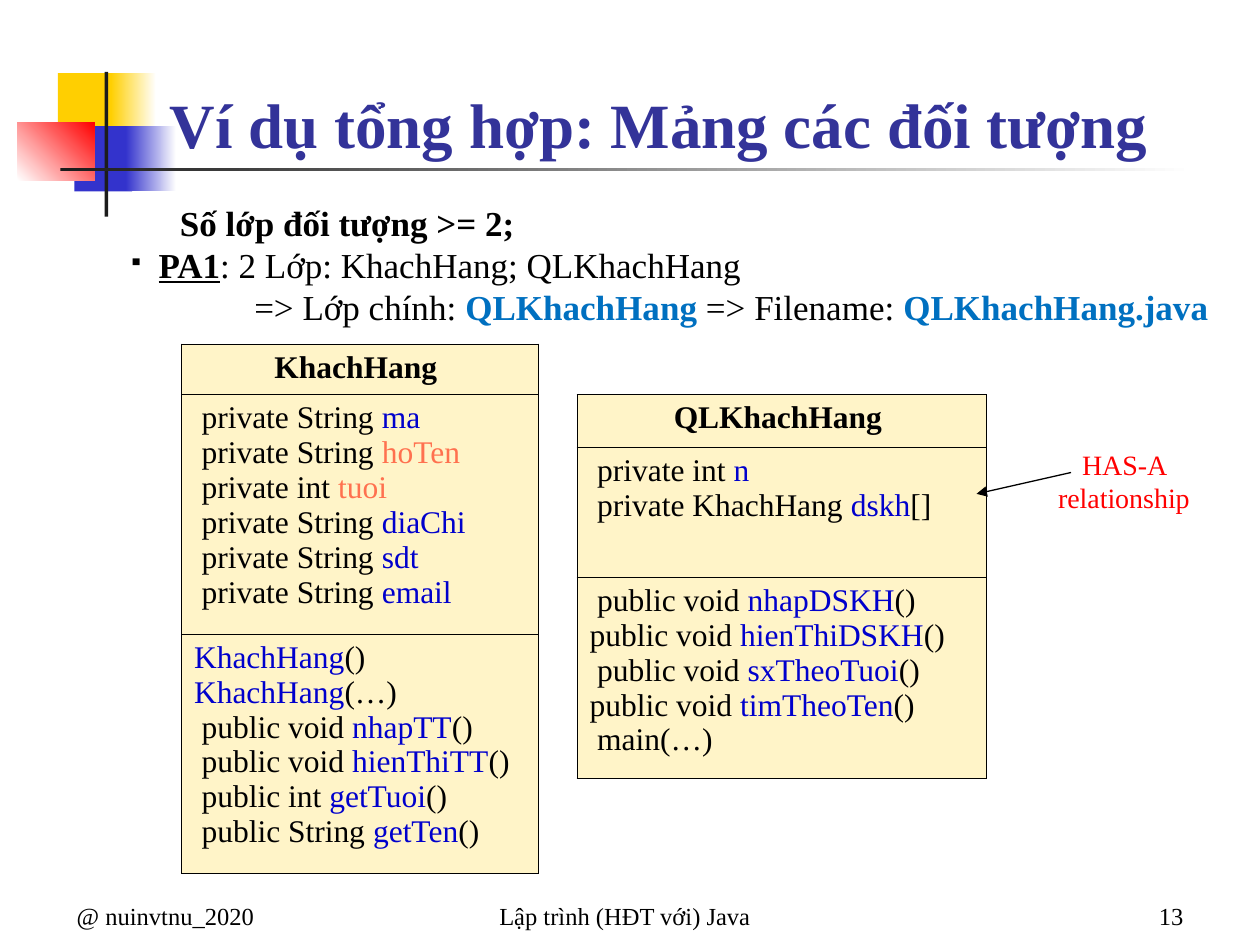
from lxml import etree
from pptx import Presentation
from pptx.dml.color import RGBColor
from pptx.enum.shapes import MSO_CONNECTOR, MSO_SHAPE
from pptx.enum.text import MSO_ANCHOR, PP_ALIGN
from pptx.oxml.ns import qn
from pptx.util import Inches, Pt

RECTANGLE, STRAIGHT = MSO_SHAPE.RECTANGLE, MSO_CONNECTOR.STRAIGHT
TOP, BOTTOM = MSO_ANCHOR.TOP, MSO_ANCHOR.BOTTOM
LEFT, CENTER, RIGHT = PP_ALIGN.LEFT, PP_ALIGN.CENTER, PP_ALIGN.RIGHT
WIDTH, HEIGHT = 10, 7.5
FONT = "Times New Roman"
BLACK, WHITE, CHARCOAL = "000000", "FFFFFF", "1C1C1C"
YELLOW, INDIGO, RED = "FFCF01", "3333CC", "FF0000"
TITLE_BLUE, LINK_BLUE = "333399", "0070C0"
NAME_BLUE, NAME_ORANGE, CREAM = "0000CC", "FF714F", "FFF4C8"
CODE_INDENT = 0.06


def rgb(value):
    return RGBColor.from_string(value)


def inches(box):
    return [Inches(length) for length in box]


def add_run(paragraph, text, size, color=BLACK, bold=False, underline=False):
    run = paragraph.add_run()
    run.text = text
    font = run.font
    font.name, font.size, font.bold = FONT, Pt(size), bold
    font.underline = underline
    font.color.rgb = rgb(color)


def set_indent(paragraph, margin, first_line=0):
    properties = paragraph._p.get_or_add_pPr()
    properties.set("marL", str(Inches(margin)))
    properties.set("indent", str(Inches(first_line)))


def add_bullet(paragraph, character, percent):
    properties = paragraph._p.get_or_add_pPr()
    size = etree.SubElement(properties, qn("a:buSzPct"))
    size.set("val", str(percent * 1000))
    etree.SubElement(properties, qn("a:buChar")).set("char", character)


def add_text_frame(slide, box, anchor=TOP):
    frame = slide.shapes.add_textbox(*inches(box)).text_frame
    frame.word_wrap = True
    frame.vertical_anchor = anchor
    return frame


def add_line_of_text(slide, box, text, size, color=BLACK, bold=False,
                     align=LEFT, anchor=BOTTOM):
    paragraph = add_text_frame(slide, box, anchor).paragraphs[0]
    paragraph.alignment = align
    add_run(paragraph, text, size, color, bold)


def add_block(slide, box, start, end=None, angle=0):
    """Add a rectangle, solid or fading from start to end."""
    shape = slide.shapes.add_shape(RECTANGLE, *inches(box))
    shape.shadow.inherit = False
    shape.line.fill.background()
    if end is None:
        shape.fill.solid()
        shape.fill.fore_color.rgb = rgb(start)
    else:
        shape.fill.gradient()
        shape.fill.gradient_angle = angle
        for stop, color in zip(shape.fill.gradient_stops, (start, end)):
            stop.color.rgb = rgb(color)


def add_ornament(slide, left, top):
    block_height = 0.52
    add_block(slide, (left + 0.32, top + 0.01, 0.48, block_height), YELLOW)
    add_block(slide, (left + 0.74, top + 0.01, 0.36, block_height), YELLOW, WHITE)
    add_block(slide, (left + 0.45, top + 0.43, 0.46, block_height), INDIGO)
    add_block(slide, (left + 0.86, top + 0.43, 0.4, block_height), INDIGO, WHITE)
    add_block(slide, (left, top + 0.4, 0.61, 0.46), WHITE, RED, 45)
    add_block(slide, (left + 0.69, top, 0.03, 1.15), CHARCOAL)
    add_block(slide, (left + 0.34, top + 0.76, 9, 0.03), CHARCOAL, WHITE)


def add_footer(slide, top, height):
    margin, side = 0.51, 2.08
    items = [
        (margin, side, "@ nuinvtnu_2020", LEFT),
        (3.17, 3.58, "Lập trình (HĐT với) Java", CENTER),
        (WIDTH - margin - side, side, "13", RIGHT),
    ]
    for left, width, text, align in items:
        add_line_of_text(slide, (left, top, width, height), text, 14, align=align)


def add_introduction(slide, box):
    size = 20
    frame = add_text_frame(slide, box)
    heading = frame.paragraphs[0]
    set_indent(heading, 0.41)
    add_run(heading, "Số lớp đối tượng >= 2;", size, bold=True)

    option = frame.add_paragraph()
    set_indent(option, 0.24, -0.24)
    add_bullet(option, "▪", 60)
    add_run(option, "PA1", size, bold=True, underline=True)
    add_run(option, ": 2 Lớp: KhachHang; QLKhachHang", size)

    result = frame.add_paragraph()
    set_indent(result, 1)
    add_run(result, "=> Lớp chính: ", size)
    add_run(result, "QLKhachHang ", size, LINK_BLUE, True)
    add_run(result, "=> Filename: ", size)
    add_run(result, "QLKhachHang.java", size, LINK_BLUE, True)


def set_borders(cell, top, bottom):
    properties = cell._tc.get_or_add_tcPr()
    sides = [("a:lnL", 0.45), ("a:lnR", 0.45), ("a:lnT", top), ("a:lnB", bottom)]
    for position, (tag, width) in enumerate(sides):
        line = etree.Element(qn(tag), w=str(Pt(width)))
        fill = etree.SubElement(line, qn("a:solidFill"))
        etree.SubElement(fill, qn("a:srgbClr")).set("val", BLACK)
        properties.insert(position, line)


def add_class_diagram(slide, left, top, width, row_heights, name, fields, methods):
    """Members are (indent, before, name, after, name colour)."""
    size, thin, thick = 18, 0.45, 0.96
    box = (left, top, width, sum(row_heights))
    table = slide.shapes.add_table(3, 1, *inches(box)).table
    table.first_row = table.horz_banding = False
    edges = [thin, thick, thin, thin]
    for index, height in enumerate(row_heights):
        table.rows[index].height = Inches(height)
        cell = table.cell(index, 0)
        cell.fill.solid()
        cell.fill.fore_color.rgb = rgb(CREAM)
        set_borders(cell, edges[index], edges[index + 1])

    header = table.cell(0, 0).text_frame.paragraphs[0]
    header.alignment = CENTER
    add_run(header, name + " ", size, bold=True)
    for index, members in enumerate((fields, methods), 1):
        frame = table.cell(index, 0).text_frame
        for number, (indent, before, member, after, color) in enumerate(members):
            paragraph = frame.add_paragraph() if number else frame.paragraphs[0]
            set_indent(paragraph, indent)
            for text, shade in ((before, BLACK), (member, color), (after, BLACK)):
                if text:
                    add_run(paragraph, text, size, shade)


def member(before, name, after="", color=NAME_BLUE, indent=CODE_INDENT):
    return indent, before, name, after, color


def add_relationship_note(slide, box):
    left, top = box[:2]
    add_line_of_text(slide, box, "HAS-A relationship", 16, RED,
                     align=CENTER, anchor=TOP)
    ends = inches((left + 0.24, top + 0.25, left - 0.51, top + 0.42))
    arrow = slide.shapes.add_connector(STRAIGHT, *ends)
    arrow.line.color.rgb = rgb(BLACK)
    arrow.line.width = Pt(0.75)
    line = arrow.line._get_or_add_ln()
    etree.SubElement(line, qn("a:tailEnd")).set("type", "triangle")
    etree.SubElement(arrow._element.spPr, qn("a:effectLst"))


def main():
    presentation = Presentation()
    presentation.slide_width, presentation.slide_height = inches((WIDTH, HEIGHT))
    slide = presentation.slides.add_slide(presentation.slide_layouts[6])
    add_ornament(slide, 0.14, 0.57)
    add_footer(slide, 6.93, 0.5)
    add_line_of_text(slide, (1.25, 0.08, 8.52, 1.25),
                     "Ví dụ tổng hợp: Mảng các đối tượng", 36, TITLE_BLUE, True)
    add_class_diagram(
        slide, 1.44, 2.73, 2.83, (0.4, 1.9, 1.9), "KhachHang",
        [member("private String ", "ma"),
         member("private String ", "hoTen", color=NAME_ORANGE),
         member("private int ", "tuoi", color=NAME_ORANGE),
         *(member("private String ", name) for name in ("diaChi", "sdt", "email"))],
        [member("", "KhachHang", "()", indent=0),
         member("", "KhachHang", "(…)", indent=0),
         member("public void ", "nhapTT", "()"),
         member("public void ", "hienThiTT", "()"),
         member("public int ", "getTuoi", "()"),
         member("public String ", "getTen", "()")])
    add_class_diagram(
        slide, 4.58, 3.13, 3.25, (0.42, 1.03, 1.6), "QLKhachHang",
        [member("private int ", "n"),
         member("private KhachHang ", "dskh", "[]")],
        [member("public void ", "nhapDSKH", "()"),
         member("public void ", "hienThiDSKH", "()", indent=0),
         member("public void ", "sxTheoTuoi", "()"),
         member("public void ", "timTheoTen", "()", indent=0),
         member("main(…)", "")])
    add_introduction(slide, (0.92, 1.55, 8.83, 1.1))
    add_relationship_note(slide, (8.26, 3.5, 1.32, 0.64))
    presentation.save("out.pptx")


if __name__ == "__main__":
    main()
